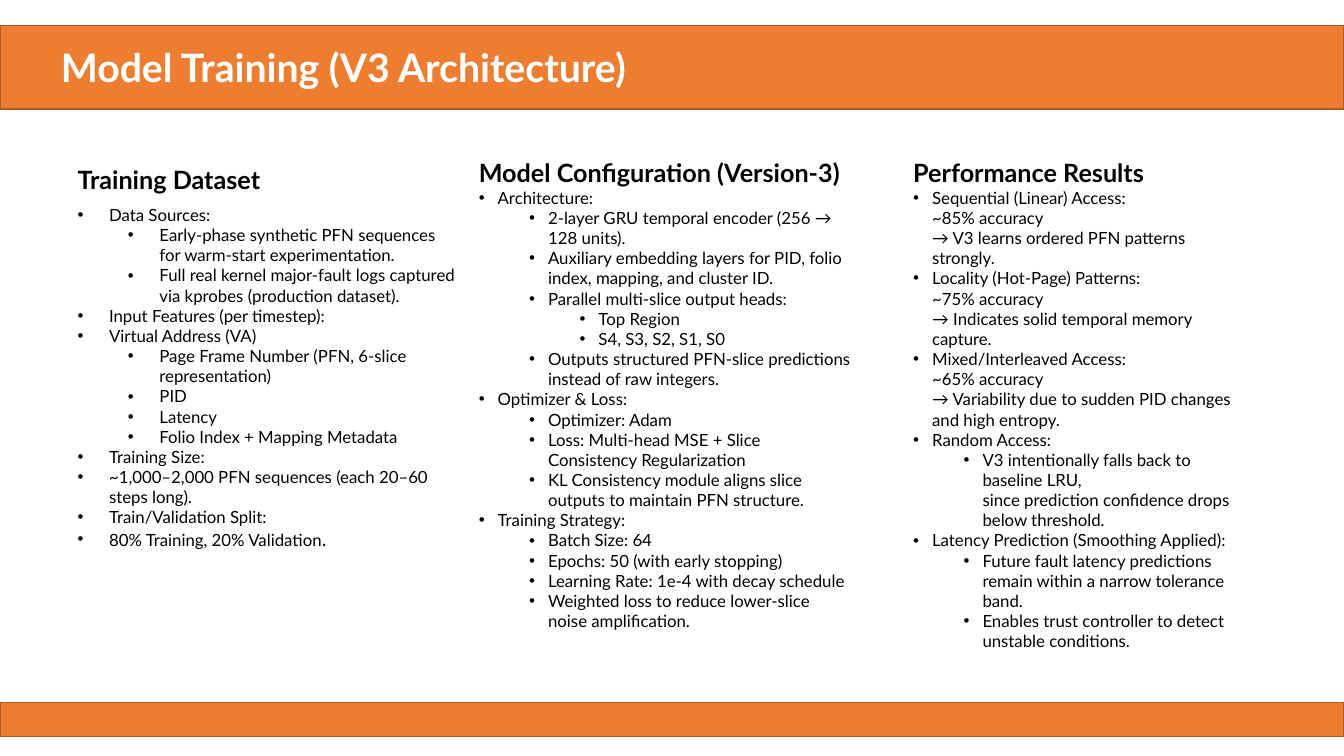
"""Builds a slide on model training with three columns of notes."""
from lxml import etree
from pptx import Presentation
from pptx.dml.color import RGBColor
from pptx.enum.shapes import MSO_SHAPE
from pptx.enum.text import MSO_ANCHOR, MSO_AUTO_SIZE, PP_ALIGN
from pptx.oxml.ns import qn
from pptx.util import Pt

RECT = MSO_SHAPE.RECTANGLE
TOP, MIDDLE = MSO_ANCHOR.TOP, MSO_ANCHOR.MIDDLE
LEFT = PP_ALIGN.LEFT
FIXED = MSO_AUTO_SIZE.NONE
FONT, BLACK, WHITE = "Lato", "000000", "FFFFFF"
ORANGE, BROWN = "ED7D31", "AC5B23"
WIDTH, HEIGHT = 960, 540
STEP = 36

DATA = [
    (0, "Data Sources:"),
    (1, "Early-phase synthetic PFN sequences for warm-start experimentation."),
    (1, "Full real kernel major-fault logs captured via kprobes (production dataset)."),
    (0, "Input Features (per timestep):"),
    (0, "Virtual Address (VA)"),
    (1, "Page Frame Number (PFN, 6-slice representation)"),
    (1, "PID"),
    (1, "Latency"),
    (1, "Folio Index + Mapping Metadata"),
    (0, "Training Size:"),
    (0, "~1,000–2,000 PFN sequences (each 20–60 steps long)."),
    (0, "Train/Validation Split:"),
    (0, "80% Training, 20% Validation"),
]
MODEL = [
    (0, "Architecture:"),
    (1, "2-layer GRU temporal encoder (256 → 128 units)."),
    (1, "Auxiliary embedding layers for PID, folio index, mapping, and cluster ID."),
    (1, "Parallel multi-slice output heads:"),
    (2, "Top Region"),
    (2, "S4, S3, S2, S1, S0"),
    (1, "Outputs structured PFN-slice predictions instead of raw integers."),
    (0, "Optimizer & Loss:"),
    (1, "Optimizer: Adam"),
    (1, "Loss: Multi-head MSE + Slice Consistency Regularization"),
    (1, "KL Consistency module aligns slice outputs to maintain PFN structure."),
    (0, "Training Strategy:"),
    (1, "Batch Size: 64"),
    (1, "Epochs: 50 (with early stopping)"),
    (1, "Learning Rate: 1e-4 with decay schedule"),
    (1, "Weighted loss to reduce lower-slice noise amplification."),
]
RESULTS = [
    (0, "Sequential (Linear) Access:\n~85% accuracy\n"
        "→ V3 learns ordered PFN patterns strongly."),
    (0, "Locality (Hot-Page) Patterns:\n~75% accuracy\n"
        "→ Indicates solid temporal memory capture."),
    (0, "Mixed/Interleaved Access:\n~65% accuracy\n"
        "→ Variability due to sudden PID changes and high entropy."),
    (0, "Random Access:"),
    (1, "V3 intentionally falls back to baseline LRU,\n"
        "since prediction confidence drops below threshold."),
    (0, "Latency Prediction (Smoothing Applied):"),
    (1, "Future fault latency predictions remain within a narrow tolerance band."),
    (1, "Enables trust controller to detect unstable conditions."),
]


def tint(code):
    """Turn a hex string into a colour."""
    return RGBColor.from_string(code)


def write(para, text, size=12, bold=False, color=BLACK):
    """Add text to a paragraph, with line breaks, in the given format."""
    for num, line in enumerate(text.split("\n")):
        if num:
            para.add_line_break()
        run = para.add_run()
        run.text = line
        font = run.font
        font.name, font.size, font.bold = FONT, Pt(size), bold
        font.color.rgb = tint(color)
    for gap in para._p.findall(qn("a:br")):
        etree.SubElement(gap, qn("a:rPr"), sz=str(size * 100))


class Deck:
    """Holds the style and the current slide."""

    def __init__(self):
        """Open a wide slide with a title and body places."""
        self.file = Presentation()
        self.file.slide_width, self.file.slide_height = Pt(WIDTH), Pt(HEIGHT)
        self.slide = self.file.slides.add_slide(self.file.slide_layouts[4])
        self.spots = list(self.slide.placeholders)[1:]

    def place(self, shape, left, top, width, height):
        """Move and size a shape."""
        shape.left, shape.top = Pt(left), Pt(top)
        shape.width, shape.height = Pt(width), Pt(height)

    def paint(self, shape):
        """Give a shape the band colours."""
        shape.fill.solid()
        shape.fill.fore_color.rgb = tint(ORANGE)
        shape.line.color.rgb = tint(BROWN)
        shape.line.width = Pt(1)

    def frame(self, shape, anchor):
        """Set up the text area of a placeholder."""
        area = shape.text_frame
        area.word_wrap, area.auto_size = True, FIXED
        area.vertical_anchor = anchor
        return area

    def title(self, text, top, height):
        """Fill the title as a band across the slide."""
        shape = self.slide.shapes.title
        self.place(shape, 0, top, WIDTH, height)
        self.paint(shape)
        area = self.frame(shape, MIDDLE)
        area.margin_left = Pt(43.5)
        para = area.paragraphs[0]
        para.alignment = LEFT
        write(para, text, size=28, bold=True, color=WHITE)

    def band(self, top, height):
        """Draw a plain band across the slide."""
        shape = self.slide.shapes.add_shape(RECT, 0, Pt(top), Pt(WIDTH), Pt(height))
        shape.shadow.inherit = False
        self.paint(shape)

    def bullet(self, para, level, hang):
        """Set the level, indent and bullet of a paragraph."""
        para.level = level
        props = para._p.get_or_add_pPr()
        props.set("marL", str(Pt(hang + level * STEP)))
        props.set("indent", str(-Pt(hang)))
        etree.SubElement(props, qn("a:buFont"), typeface="Arial")
        etree.SubElement(props, qn("a:buChar"), char="•")

    def column(self, head, items, box, hang):
        """Fill the next body place with a heading and a list."""
        shape = self.spots.pop(0)
        self.place(shape, *box)
        area = self.frame(shape, TOP)
        para = area.paragraphs[0]
        para.space_before, para.line_spacing = Pt(0), 1.5
        props = para._p.get_or_add_pPr()
        props.set("marL", "0")
        props.set("indent", "0")
        etree.SubElement(props, qn("a:buNone"))
        write(para, head, size=18, bold=True)
        for level, text in items:
            para = area.add_paragraph()
            para.space_before = Pt(0)
            self.bullet(para, level, hang)
            write(para, text)
        return area.paragraphs

    def save(self):
        """Drop unused places and save the file."""
        for shape in self.spots:
            shape.element.getparent().remove(shape.element)
        self.file.save("out.pptx")


def main():
    """Build the slide."""
    deck = Deck()
    deck.title("Model Training (V3 Architecture)", 18, 60)
    deck.band(501.8, 24.5)
    paras = deck.column("Training Dataset", DATA, (48.2, 103, 286.6, 296.6), 22.5)
    paras[1].line_spacing = 1.5
    write(paras[-1], ".", size=14)
    deck.column("Model Configuration (Version-3)", MODEL, (334.8, 97.9, 281.5, 360), 13.5)
    deck.column("Performance Results", RESULTS, (645.1, 97.9, 252.7, 330.5), 13.5)
    deck.save()


if __name__ == "__main__":
    main()
